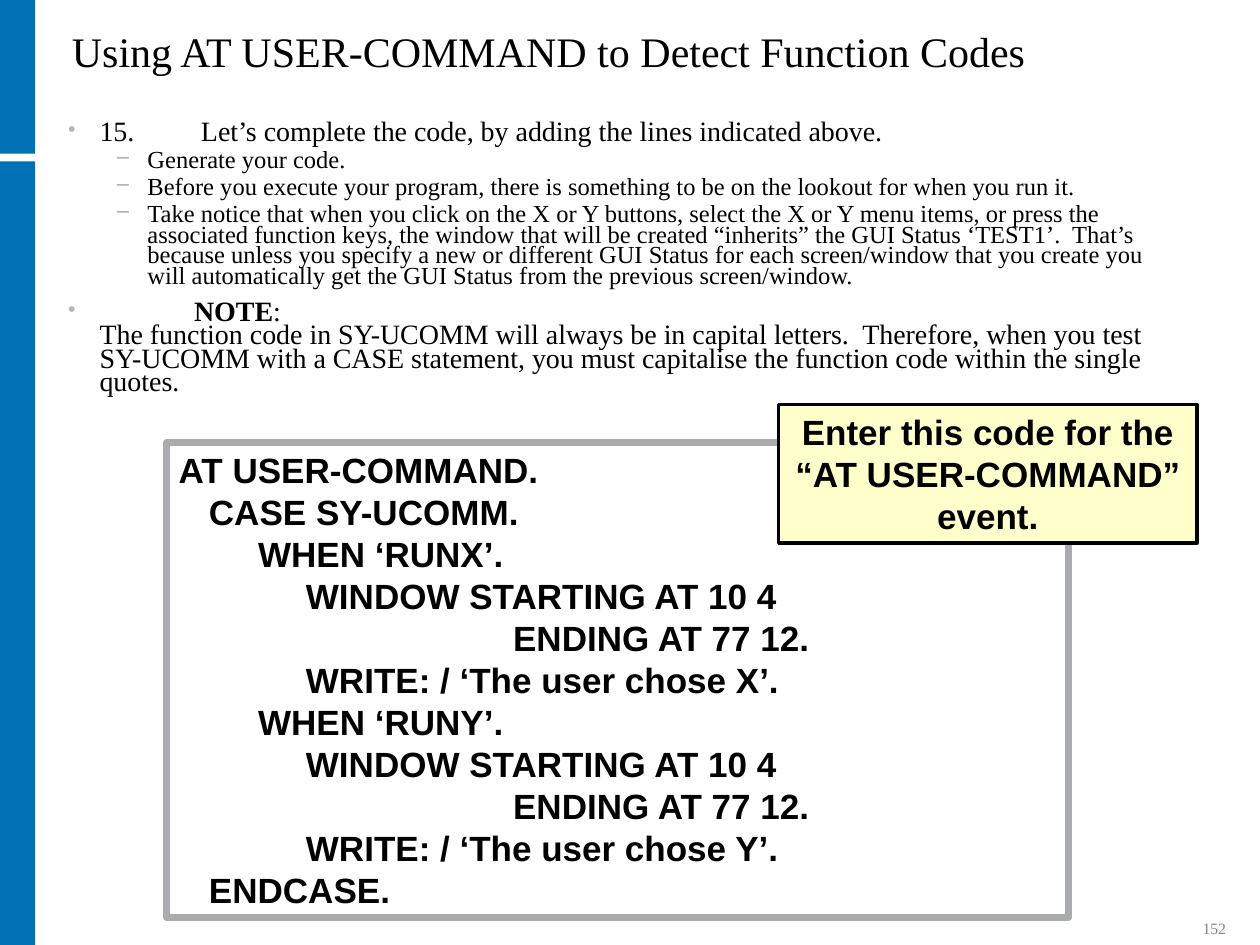
"""Build the slide on detecting function codes with AT USER-COMMAND."""
import pptx
import pptx.dml.color
import pptx.enum.shapes
import pptx.enum.text
import pptx.oxml
import pptx.oxml.ns
import pptx.util

Inches, Pt = pptx.util.Inches, pptx.util.Pt
ALIGN, ANCHOR = pptx.enum.text.PP_ALIGN, pptx.enum.text.MSO_ANCHOR

TITLE = "Using AT USER-COMMAND to Detect Function Codes"
BODY = [
    (0, [("15.\t Let’s complete the code, by adding the lines indicated above.", False)]),
    (1, [("Generate your code.", False)]),
    (1, [("Before you execute your program, there is something to be on the lookout for "
          "when you run it.", False)]),
    (1, [("Take notice that when you click on the X or Y buttons, select the X or Y menu items, "
          "or press the associated function keys, the window that will be created “inherits” "
          "the GUI Status ‘TEST1’.  That’s because unless you specify a new or different GUI "
          "Status for each screen/window that you create you will automatically get the GUI "
          "Status from the previous screen/window.", False)]),
    (0, [("\t", False), ("NOTE", True), (":", False), ("\n", False),
         ("The function code in SY-UCOMM will always be in capital letters.  Therefore, when "
          "you test SY-UCOMM with a CASE statement, you must capitalise the function code "
          "within the single quotes.", False)]),
]
CODE = [
    (0, "AT USER-COMMAND."),
    (1, "CASE SY-UCOMM."),
    (2, "WHEN ‘RUNX’."),
    (3, "WINDOW STARTING AT 10 4"),
    (7, "  ENDING AT 77 12."),
    (3, "WRITE: / ‘The user chose X’."),
    (2, "WHEN ‘RUNY’."),
    (3, "WINDOW STARTING AT 10 4"),
    (7, "  ENDING AT 77 12."),
    (3, "WRITE: / ‘The user chose Y’."),
    (1, "ENDCASE."),
]
CALLOUT = "Enter this code for the “AT USER-COMMAND” event."
PAGE_NUMBER = "152"

SERIF = {"name": "Times New Roman", "bold": False}
CODE_FONT = {"name": "Arial", "size": Pt(20), "bold": True}
CODE_TABS = [0.24, 0.63, 1.01, 1.37, 1.75, 2.12, 2.5]
BODY_TABS = range(1, 9)
LEVELS = [
    {"size": 16, "before": 6, "after": 2, "indent": 0.25, "bullet": "•", "percent": 75},
    {"size": 14, "before": 1.8, "after": 1.8, "indent": 0.63, "bullet": "−", "percent": 100},
]
HANGING = 0.25


def color(value):
    return pptx.dml.color.RGBColor.from_string(value)


def apply(target, values):
    for name, value in values.items():
        setattr(target, name, value)


def place(shape, left, top, width, height):
    apply(shape, {"left": Inches(left), "top": Inches(top),
                  "width": Inches(width), "height": Inches(height)})


def set_frame(shape, anchor):
    apply(shape.text_frame, {
        "word_wrap": True, "auto_size": pptx.enum.text.MSO_AUTO_SIZE.NONE,
        "vertical_anchor": anchor, "margin_left": Inches(0.1), "margin_right": Inches(0.1),
        "margin_top": Inches(0.05), "margin_bottom": Inches(0.05)})
    return shape.text_frame


def add_span(para, text, font, fill="000000"):
    span = para.add_run()
    span.text = text
    apply(span.font, font)
    span.font.color.rgb = color(fill)


def add_element(parent, tag, **attributes):
    element = pptx.oxml.parse_xml(f"<a:{tag} {pptx.oxml.ns.nsdecls('a')}/>")
    for name, value in attributes.items():
        element.set(name, str(value))
    parent.append(element)
    return element


def add_tabs(para, stops):
    tabs = add_element(para._p.get_or_add_pPr(), "tabLst")
    for stop in stops:
        add_element(tabs, "tab", pos=Inches(stop), algn="l")


def add_bullet(para, level):
    props = para._p.get_or_add_pPr()
    props.set("marL", str(Inches(level["indent"])))
    props.set("indent", str(-Inches(HANGING)))
    add_element(add_element(props, "buClr"), "srgbClr", val="B2B3B5")
    add_element(props, "buSzPct", val=level["percent"] * 1000)
    add_element(props, "buFont", typeface="Arial")
    add_element(props, "buChar", char=level["bullet"])


def add_paragraph(frame, index):
    return frame.add_paragraph() if index else frame.paragraphs[0]


def add_box(page, area, fill, line=None, weight=0):
    box = page.shapes.add_shape(pptx.enum.shapes.MSO_SHAPE.RECTANGLE, *map(Inches, area))
    box.shadow.inherit = False
    box.fill.solid()
    box.fill.fore_color.rgb = color(fill)
    if line:
        box.line.color.rgb = color(line)
        box.line.width = Pt(weight)
    else:
        box.line.fill.background()
    return box


def fill_title(page):
    title = page.shapes.title
    place(title, 0.47, 0.12, 8.34, 0.62)
    para = set_frame(title, ANCHOR.MIDDLE).paragraphs[0]
    apply(para, {"alignment": ALIGN.LEFT, "line_spacing": 0.9})
    add_span(para, TITLE, {**SERIF, "size": Pt(24)})


def fill_body(page):
    body = page.placeholders[1]
    place(body, 0.44, 0.92, 9.05, 2.42)
    frame = set_frame(body, ANCHOR.TOP)
    for index, (depth, spans) in enumerate(BODY):
        level = LEVELS[depth]
        para = add_paragraph(frame, index)
        apply(para, {"level": depth, "alignment": ALIGN.LEFT, "line_spacing": 0.7,
                     "space_before": Pt(level["before"] if index else 0),
                     "space_after": Pt(level["after"])})
        add_bullet(para, level)
        add_tabs(para, BODY_TABS)
        for text, bold in spans:
            if text == "\n":
                para.add_line_break()
            else:
                add_span(para, text, {**SERIF, "size": Pt(level["size"]), "bold": bold})


def add_code(page):
    box = add_box(page, (1.32, 3.51, 7.16, 3.77), "FFFFFF", "AAABB0", 4)
    frame = set_frame(box, ANCHOR.TOP)
    for index, (depth, text) in enumerate(CODE):
        para = add_paragraph(frame, index)
        apply(para, {"alignment": ALIGN.LEFT, "line_spacing": Pt(24)})
        add_tabs(para, CODE_TABS)
        add_span(para, "\t" * depth + text, CODE_FONT)


def add_callout(page):
    box = add_box(page, (6.18, 3.21, 3.32, 1.1), "FFFFCC", "000000", 2)
    para = set_frame(box, ANCHOR.TOP).paragraphs[0]
    apply(para, {"alignment": ALIGN.CENTER, "line_spacing": Pt(24)})
    add_span(para, CALLOUT, CODE_FONT)


def add_page_number(page):
    box = page.shapes.add_textbox(*map(Inches, (9, 7.25, 0.83, 0.24)))
    para = set_frame(box, ANCHOR.BOTTOM).paragraphs[0]
    para.alignment = ALIGN.RIGHT
    add_span(para, PAGE_NUMBER, {**SERIF, "size": Pt(9)}, "848589")


def main():
    deck = pptx.Presentation()
    apply(deck, {"slide_width": Inches(10), "slide_height": Inches(7.5)})
    page = deck.slides.add_slide(deck.slide_layouts[1])
    for top, height in ((1.28, 6.22), (0, 1.22)):
        add_box(page, (0, top, 0.28, height), "0071B4")
    fill_title(page)
    fill_body(page)
    add_code(page)
    add_callout(page)
    add_page_number(page)
    deck.save("out.pptx")


if __name__ == "__main__":
    main()
